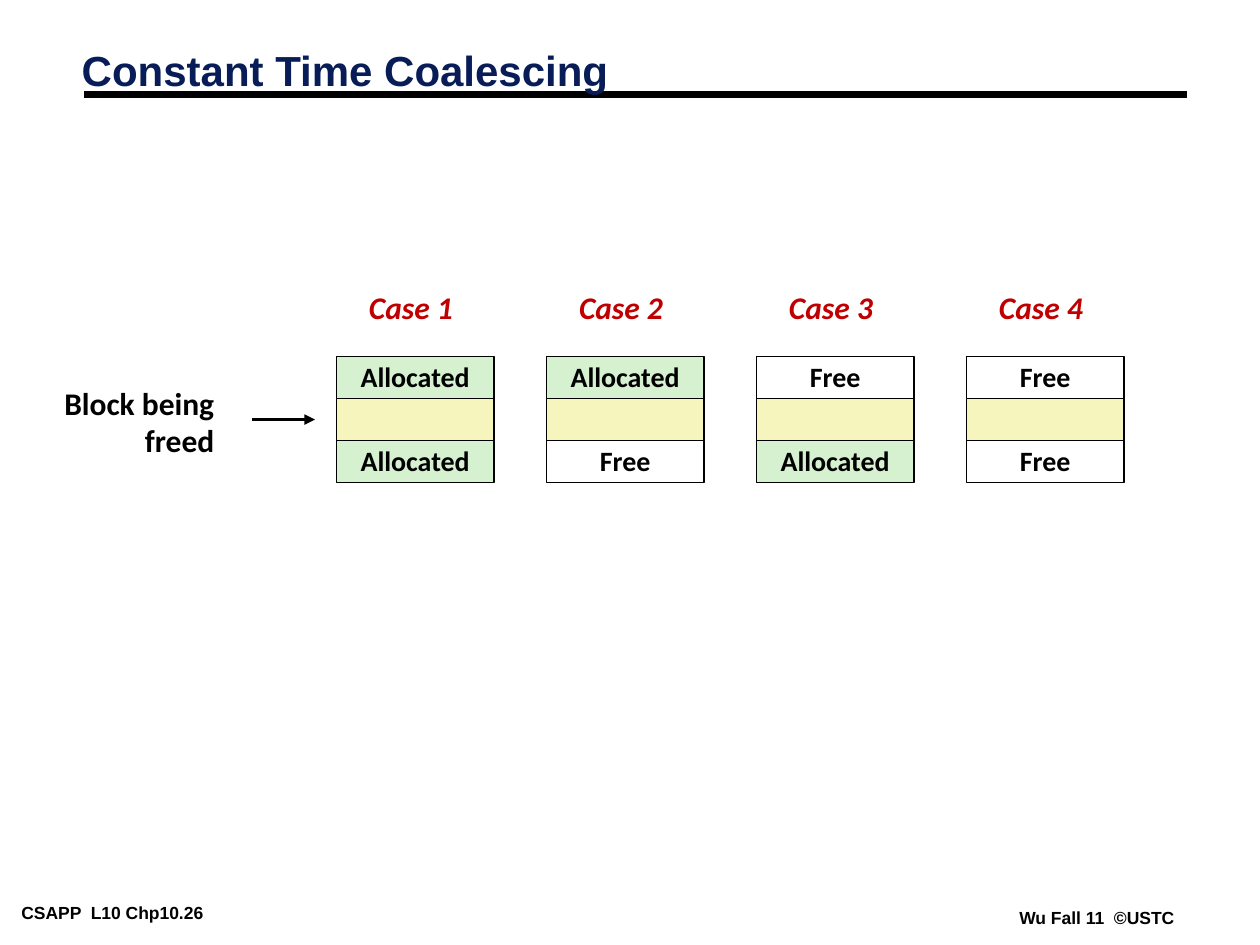
from lxml.etree import SubElement
from pptx import Presentation
from pptx.dml.color import RGBColor
from pptx.enum.shapes import MSO_CONNECTOR, MSO_SHAPE
from pptx.enum.text import MSO_ANCHOR, PP_ALIGN
from pptx.oxml.ns import qn
from pptx.util import Inches, Pt

BLACK = RGBColor(0x00, 0x00, 0x00)
NAVY = RGBColor(0x08, 0x1D, 0x58)
RED = RGBColor(0xC0, 0x00, 0x00)
YELLOW = RGBColor(0xF6, 0xF5, 0xBD)
FILLS = {
    "Allocated": RGBColor(0xD5, 0xF1, 0xCF),
    "Free": RGBColor(0xFF, 0xFF, 0xFF),
}

# Neighbours (before, after) of the block being freed
CASES = [
    ("Allocated", "Allocated"),
    ("Allocated", "Free"),
    ("Free", "Allocated"),
    ("Free", "Free"),
]
FIRST_LEFT, FIRST_TOP = 2.67, 2.83
CASE_STEP = 5 / 3
BLOCK_WIDTH, BLOCK_HEIGHT = 1.25, 1 / 3


def format_text(text_frame, text, size, font="Calibri", color=BLACK,
                italic=False, align=PP_ALIGN.LEFT, spacing=0.98,
                margins=(0.1, 0.05), anchor=MSO_ANCHOR.TOP, wrap=False):
    text_frame.text = text
    text_frame.word_wrap = wrap
    text_frame.vertical_anchor = anchor
    text_frame.margin_left = text_frame.margin_right = Inches(margins[0])
    text_frame.margin_top = text_frame.margin_bottom = Inches(margins[1])
    for paragraph in text_frame.paragraphs:
        paragraph.alignment = align
        paragraph.line_spacing = spacing
        for run in paragraph.runs:
            run.font.name = font
            run.font.size = Pt(size)
            run.font.bold = True
            run.font.italic = italic
            run.font.color.rgb = color


def add_text(slide, left, top, width, height, text, size, **style):
    box = slide.shapes.add_textbox(
        Inches(left), Inches(top), Inches(width), Inches(height))
    format_text(box.text_frame, text, size, **style)


def add_block(slide, left, top, fill, text=""):
    block = slide.shapes.add_shape(
        MSO_SHAPE.RECTANGLE, Inches(left), Inches(top),
        Inches(BLOCK_WIDTH), Inches(BLOCK_HEIGHT))
    block.shadow.inherit = False
    block.fill.solid()
    block.fill.fore_color.rgb = fill
    block.line.color.rgb = BLACK
    block.line.width = Pt(1)
    if text:
        format_text(block.text_frame, text, 16, align=PP_ALIGN.CENTER,
                    anchor=MSO_ANCHOR.MIDDLE)


def add_line(slide, left, right, y, width, arrow=False):
    line = slide.shapes.add_connector(
        MSO_CONNECTOR.STRAIGHT, Inches(left), Inches(y), Inches(right), Inches(y))
    line.line.color.rgb = BLACK
    line.line.width = Pt(width)
    properties = line.element.spPr
    if arrow:
        SubElement(properties.find(qn("a:ln")), qn("a:tailEnd"), type="triangle")
    SubElement(properties, qn("a:effectLst"))


def add_case(slide, index, before, after):
    left = FIRST_LEFT + index * CASE_STEP
    add_block(slide, left, FIRST_TOP + BLOCK_HEIGHT, YELLOW)
    add_block(slide, left, FIRST_TOP, FILLS[before], before)
    add_block(slide, left, FIRST_TOP + 2 * BLOCK_HEIGHT, FILLS[after], after)
    add_text(slide, left + 0.16, 2.25, 0.92, 0.4, f"Case {index + 1}", 18,
             color=RED, italic=True)


def main():
    presentation = Presentation()
    presentation.slide_width = Inches(10)
    presentation.slide_height = Inches(7.5)
    slide = presentation.slides.add_slide(presentation.slide_layouts[6])

    # Footers
    footer = dict(font="Arial", spacing=1.0, margins=(0.07, 0.03))
    add_text(slide, 0.1, 7.13, 2.1, 0.22, "CSAPP  L10 Chp10.26", 10, **footer)
    add_text(slide, 8.02, 7.17, 1.38, 0.22, "Wu Fall 11  ©USTC", 10, **footer)

    # Title over its rule
    add_line(slide, 0.67, 9.42, 0.75, 4.5)
    add_text(slide, 0.55, 0.36, 7.68, 0.45, "Constant Time Coalescing", 24,
             font="Arial", color=NAVY, spacing=0.87,
             anchor=MSO_ANCHOR.MIDDLE, wrap=True)

    # Four cases
    for index, (before, after) in enumerate(CASES):
        add_case(slide, index, before, after)

    # Pointer to the block being freed
    add_text(slide, 0.41, 3.01, 1.39, 0.69, "Block being\nfreed", 18,
             align=PP_ALIGN.RIGHT)
    add_line(slide, 2, 2.5, 3.33, 2, arrow=True)

    presentation.save("out.pptx")


if __name__ == "__main__":
    main()
